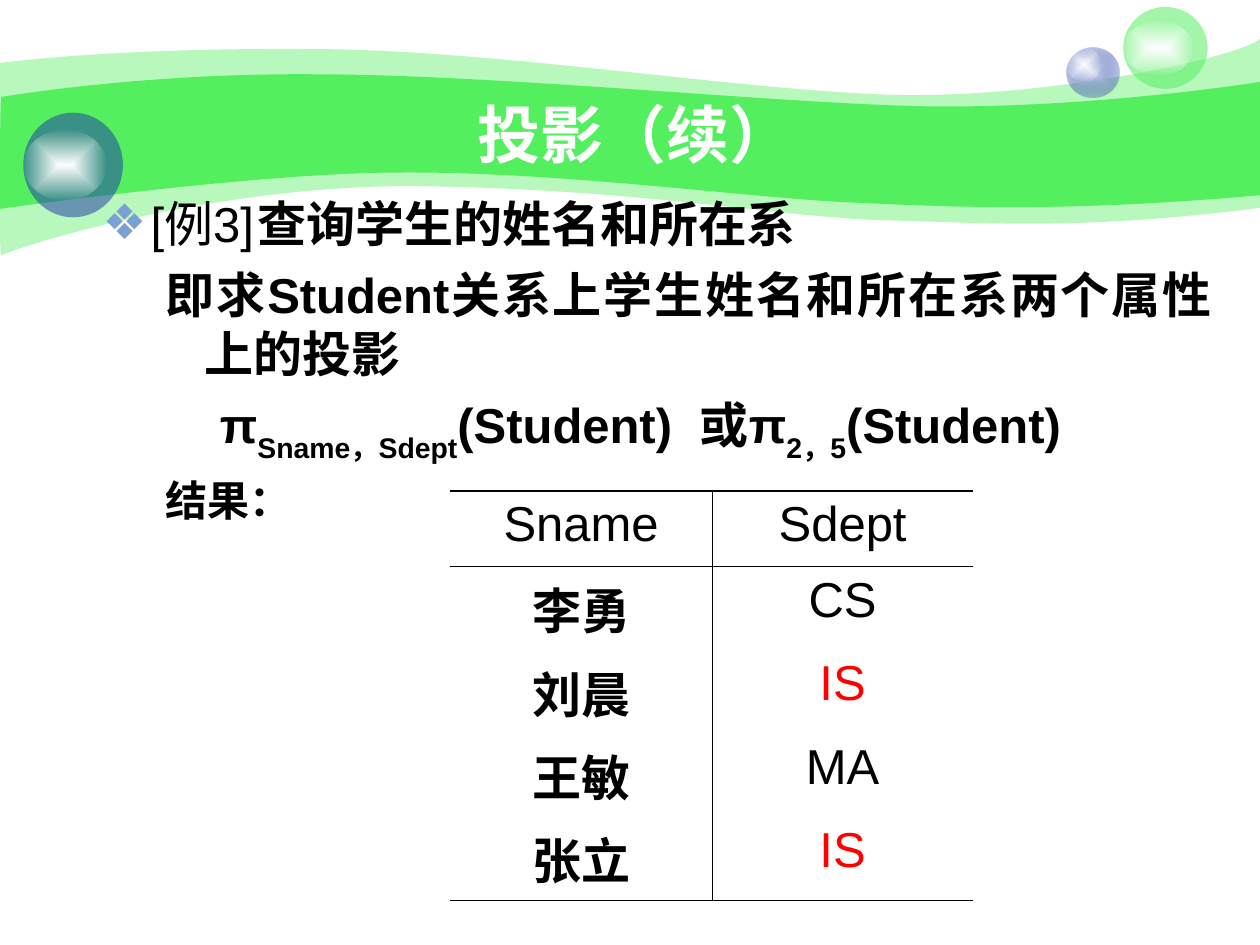
from lxml.etree import SubElement
from pptx import Presentation
from pptx.dml.color import RGBColor as RGB
from pptx.enum.shapes import MSO_SHAPE as Preset
from pptx.enum.text import MSO_ANCHOR as Anchor, MSO_AUTO_SIZE as AutoSize, PP_ALIGN as Align
from pptx.oxml.ns import qn
from pptx.util import Inches, Pt

COLS, ROWS = 100, 75
COLORS = {"green": "53EF5E", "blue": "233DA9", "pale": "C7CEE9", "white": "FFFFFF",
          "black": "000000", "red": "FF0000", "bullet": "7DA0D3"}
BOLD = {"bold": True}
SUB = {"bold": True, "baseline": -30}
RULE, EDGE = 0.45, 1.08

# Each wave: a start point, then Bezier curves (three points) and straight lines (one point)
PALE_WAVE = ((0, 5), [
    [(2.4, 4.7), (10.7, 3.8), (24.7, 3.9)], [(38.6, 3.9), (57.5, 7), (69.9, 7.5)],
    [(82.2, 8), (98, 4.7), (100, 3.1)], [(100, 16.5)],
    [(85.8, 18.3), (78.7, 17.7), (70.5, 17.5)], [(62.2, 17.3), (51.5, 15.1), (34.3, 14.8)],
    [(17.2, 14.4), (0.4, 19.9), (0.1, 20.3)], [(-0.1, 20.8), (0, 7.5), (0, 5)]])
BRIGHT_WAVE = ((0.1, 7.7), [
    [(0.2, 7.7), (11, 5.8), (24.8, 5.9)], [(38.6, 5.9), (59.5, 8), (71.8, 8.4)],
    [(84.1, 8.8), (97.6, 6.9), (100, 6.5)], [(100, 15.5)],
    [(85.3, 16.8), (76.5, 16.5), (68.2, 16.1)], [(59.9, 15.8), (44.7, 13.6), (31.7, 13.7)],
    [(20.3, 13.7), (-0.2, 16.6), (-0.1, 16.6)], [(0, 16.6), (0, 7.7), (0.1, 7.7)]])

RESULT = [("Sname", "Sdept"), ("李勇", "CS"), ("刘晨", "IS"), ("王敏", "MA"), ("张立", "IS")]


def assign(target, values):
    for name, value in values.items():
        setattr(target, name, value)


def add_color(parent, color, alpha=100):
    node = SubElement(parent, qn("a:srgbClr"), val=COLORS[color])
    if alpha < 100:
        SubElement(node, qn("a:alpha"), val=str(alpha * 1000))


class SlideBuilder:
    """Holds the deck style and the current slide; lengths are grid cells."""
    font = "Arial"
    size = 28

    def __init__(self):
        self.deck = Presentation()
        assign(self.deck, {"slide_width": Inches(10), "slide_height": Inches(7.5)})
        self.slide = self.deck.slides.add_slide(self.deck.slide_layouts[1])
        self.shapes = self.slide.shapes

    def x(self, cols):
        return round(self.deck.slide_width * cols / COLS)

    def y(self, rows):
        return round(self.deck.slide_height * rows / ROWS)

    def box(self, left, top, width, height):
        return self.x(left), self.y(top), self.x(width), self.y(height)

    def finish(self, shape, color, alpha):
        shape.shadow.inherit = False
        shape.line.fill.background()
        shape.fill.solid()
        shape.fill.fore_color.rgb = RGB.from_string(COLORS[color])
        if alpha < 100:
            node = shape.fill._xPr.find(qn("a:solidFill"))[0]
            SubElement(node, qn("a:alpha"), val=str(alpha * 1000))

    def wave(self, outline, color, alpha=100):
        """Draw straight segments through all points, then bend the triples into curves."""
        start, segments = outline
        points = [start] + [point for segment in segments for point in segment]
        vertices = [(self.x(px), self.y(py)) for px, py in points]
        builder = self.shapes.build_freeform(*vertices[0])
        builder.add_line_segments(vertices[1:], close=True)
        shape = builder.convert_to_shape()
        path = next(shape._element.iter(qn("a:path")))
        lines = iter(path.findall(qn("a:lnTo")))
        for segment in segments:
            steps = [next(lines) for _ in segment]
            if len(steps) == 3:
                curve = path.makeelement(qn("a:cubicBezTo"))
                steps[0].addprevious(curve)
                for step in steps:
                    curve.append(step[0])
                    path.remove(step)
        self.finish(shape, color, alpha)

    def ball(self, box, color, alpha):
        shape = self.shapes.add_shape(Preset.OVAL, *self.box(*box))
        self.finish(shape, color, alpha)
        return shape

    def glow(self, box, inner="white", outer="white", outer_alpha=0):
        """Add a ball that fades from its centre to its rim."""
        shape = self.ball(box, inner, 100)
        solid = shape.fill._xPr.find(qn("a:solidFill"))
        gradient = SubElement(shape.fill._xPr, qn("a:gradFill"), rotWithShape="1")
        stops = SubElement(gradient, qn("a:gsLst"))
        for position, color, alpha in ((0, inner, 100), (100, outer, outer_alpha)):
            add_color(SubElement(stops, qn("a:gs"), pos=str(position * 1000)), color, alpha)
        path = SubElement(gradient, qn("a:path"), {"path": "rect"})
        SubElement(path, qn("a:fillToRect"), dict.fromkeys("ltrb", "50000"))
        solid.getparent().replace(solid, gradient)

    def run(self, paragraph, text, bold=False, size=None, color="black", baseline=0):
        run = paragraph.add_run()
        run.text = text
        assign(run.font, {"name": self.font, "size": Pt(size or self.size), "bold": bold})
        run.font.color.rgb = RGB.from_string(COLORS[color])
        if baseline:
            run.font._element.set("baseline", str(baseline * 1000))

    def placeholder(self, index, box, anchor):
        """Move a template placeholder in front of the decoration."""
        holder = self.slide.placeholders[index]
        assign(holder, dict(zip(("left", "top", "width", "height"), self.box(*box))))
        assign(holder.text_frame, {"word_wrap": True, "auto_size": AutoSize.NONE,
                                   "vertical_anchor": anchor})
        self.shapes._spTree.append(holder._element)
        return holder.text_frame

    def title(self, text, box):
        paragraph = self.placeholder(0, box, Anchor.MIDDLE).paragraphs[0]
        paragraph.alignment = Align.CENTER
        self.run(paragraph, text, bold=True, size=36, color="white")

    def body(self, items, box):
        frame = self.placeholder(1, box, Anchor.TOP)
        for i, item in enumerate(items):
            paragraph = frame.add_paragraph() if i else frame.paragraphs[0]
            props = paragraph._p.get_or_add_pPr()
            margin, indent = item["indent"]
            props.set("marL", str(self.x(margin)))
            props.set("indent", str(self.x(indent)))
            if "bullet" in item:
                add_color(SubElement(props, qn("a:buClr")), "bullet")
                SubElement(props, qn("a:buChar"), char=item["bullet"])
            else:
                SubElement(props, qn("a:buNone"))
            if "tabs" in item:
                tabs = SubElement(props, qn("a:tabLst"))
                for stop in item["tabs"]:
                    SubElement(tabs, qn("a:tab"), pos=str(self.x(stop)), algn="l")
            assign(paragraph, {"alignment": Align.JUSTIFY, "level": item.get("level", 1),
                               "space_before": Pt(item.get("before", 7))})
            for text, style in item["runs"]:
                self.run(paragraph, text, **style)

    def borders(self, cell, widths):
        props = cell._tc.get_or_add_tcPr()
        for i, side in enumerate(("lnL", "lnR", "lnT", "lnB")):
            width = widths.get(side, 0)
            line = props.makeelement(qn("a:" + side), {"w": str(Pt(width))})
            if width:
                add_color(SubElement(line, qn("a:solidFill")), "black")
            else:
                SubElement(line, qn("a:noFill"))
            props.insert(i, line)

    def table(self, rows, box, widths):
        table = self.shapes.add_table(len(rows), len(rows[0]), *self.box(*box)).table
        assign(table, {"first_row": False, "horz_banding": False})
        for column, width in zip(table.columns, widths):
            column.width = self.x(width)
        last = len(rows) - 1
        for r, row in enumerate(rows):
            for c, text in enumerate(row):
                cell = table.cell(r, c)
                cell.fill.background()
                self.borders(cell, {"lnR" if c == 0 else "lnL": RULE,
                                    "lnT": {0: EDGE, 1: RULE}.get(r, 0),
                                    "lnB": {0: RULE, last: EDGE}.get(r, 0)})
                paragraph = cell.text_frame.paragraphs[0]
                paragraph.alignment = Align.CENTER
                self.run(paragraph, text, bold=r > 0 and c == 0,
                         color="red" if text == "IS" else "black")


def main():
    page = SlideBuilder()
    page.wave(PALE_WAVE, "green", 41)
    page.wave(BRIGHT_WAVE, "green")
    page.glow((84.65, 3.75, 4.2, 4), "pale", "blue", 31)
    page.glow((84.65, 3.75, 2.8, 2.7))
    page.ball((89.15, 0.55, 6.7, 6.5), "green", 53)
    page.glow((89.15, 1.65, 5.6, 4.3))
    page.ball((1.85, 8.95, 7.9, 8.3), "blue", 53)
    page.glow((1.85, 10.3, 6.6, 5.6))

    page.title("投影（续）", (10, 7.5, 80.8, 6.2))
    hanging = (8.1, -3.1)
    page.body([
        {"indent": (3.8, -3.8), "bullet": "❖", "level": 0, "before": 0, "tabs": (0, 12.3),
         "runs": [("[例3]\t", {}), ("查询学生的姓名和所在系", BOLD)]},
        {"indent": hanging,
         "runs": [("即求Student关系上学生姓名和所在系两个属性上的投影", BOLD)]},
        {"indent": (12.4, -3.1), "tabs": (0, 40),
         "runs": [("π", BOLD), ("Sname，Sdept", SUB), ("(Student)\t或π", BOLD),
                  ("2，5", SUB), ("(Student)", BOLD)]},
        {"indent": hanging, "before": 6, "runs": [("结果：", {"bold": True, "size": 24})]},
    ], (7.15, 14.85, 90, 49.2))
    page.table(RESULT, (35.7, 38.95, 41.5, 30.1), (20.85, 20.65))
    page.deck.save("out.pptx")


if __name__ == "__main__":
    main()
